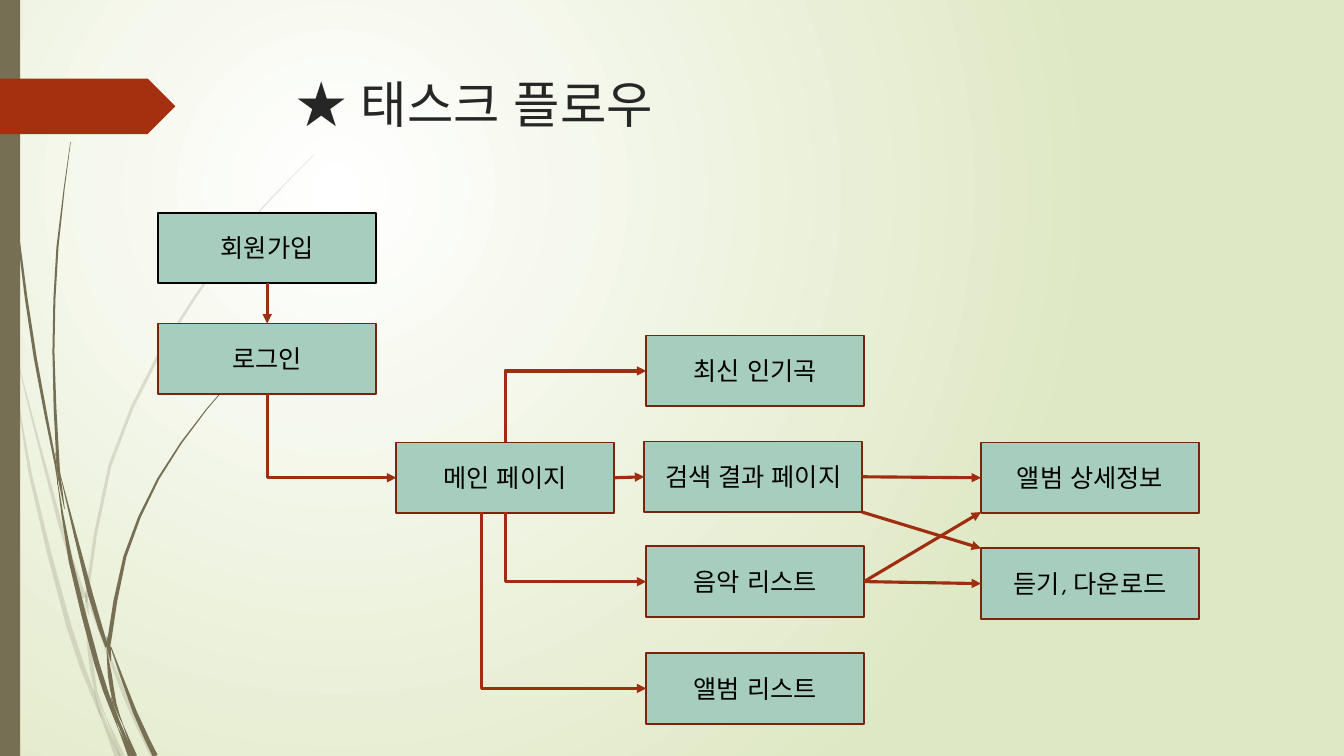
"""Build the task flow slide."""
from math import hypot

from lxml.etree import SubElement as Sub
from pptx import Presentation
from pptx.dml.color import RGBColor
from pptx.enum.shapes import MSO_CONNECTOR as Link, MSO_SHAPE as Shape
from pptx.enum.text import MSO_ANCHOR as Anchor, MSO_AUTO_SIZE as Auto, PP_ALIGN as Align
from pptx.oxml.ns import qn
from pptx.util import Inches, Pt

FONT = "TeX Gyre Adventor"
OLIVE, RUST, WIRE = "766F54", "A53010", "9E2E0F"
WIDE, HIGH = 2.16, 0.7
TOP, LEFT, BOTTOM, RIGHT = range(4)

BOXES = {
    "join": ("회원가입", 1.57, 2.11),
    "login": ("로그인", 1.57, 3.21),
    "main": ("메인 페이지", 3.93, 4.39),
    "hits": ("최신 인기곡", 6.41, 3.33),
    "found": ("검색 결과 페이지", 6.39, 4.38),
    "songs": ("음악 리스트", 6.41, 5.42),
    "info": ("앨범 상세정보", 9.73, 4.39),
    "play": ("듣기, 다운로드", 9.73, 5.44),
    "albums": ("앨범 리스트", 6.41, 6.48),
}
GLUED = [
    ("join", BOTTOM, "login", TOP),
    ("main", RIGHT, "found", LEFT),
    ("found", RIGHT, "info", LEFT),
    ("songs", RIGHT, "play", LEFT),
]
BENT = [
    ((2.65, 3.91), (3.93, 4.74)),
    ((5.01, 4.39), (6.41, 3.68)),
    ((5.01, 5.08), (6.41, 5.77)),
    ((4.78, 5.08), (6.41, 6.83)),
]
CROSSED = [((8.57, 5.77), (9.73, 5.08)), ((8.55, 5.08), (9.73, 5.44))]

PALE_STEMS = [
    [(0, 2.9, .03), (.1, 3.47, .01)],
    [(.14, 3.45, 0), (.6, 5.21, .04), (.84, 5.93, .04)],
    [(.88, 5.98, .01), (1.25, 6.93, .04), (1.52, 7.5, .05)],
    [(1.05, 7.11, 0), (1.21, 7.5, .05)],
    [(.11, 3.5, 0), (.3, 4.7, .03), (.68, 6.2, .05), (.92, 6.88, .04), (1.01, 7.14, 0)],
    [(.84, 5.99, 0), (.89, 6.46, .04), (.95, 6.85, .03), (1.05, 7.11, 0)],
    [(3.12, 1.53, 0), (2.68, 1.98, .01), (2.29, 2.45, .02), (1.59, 3.49, .03),
     (1.09, 4.62, .03), (.87, 5.84, .03), (.87, 5.96, .01)],
    [(1.01, 7.14, 0), (1.16, 7.5, .05)],
    [(.85, 5.86, 0), (.86, 5.98, .03), (.88, 6.1, 0)],
    [(.93, 6.83, 0), (1, 7.07, .03), (1.19, 7.5, .01)],
]
DARK_STEMS = [
    [(.03, 0, .01), (.08, 1.1, .01), (.18, 2.33, .02), (.35, 3.55, .03),
     (.55, 4.6, .02), (.57, 4.81, 0)],
    [(.6, 4.72, 0), (.9, 5.91, .05), (1.06, 6.42, .03)],
    [(1.1, 6.42, .01), (1.34, 7.07, .04), (1.54, 7.5, .05)],
    [(.57, 4.77, 0), (.7, 5.56, .04), (.96, 6.58, .05), (1.1, 7, .04), (1.17, 7.22, 0)],
    [(.7, 1.41, 0), (.57, 2.45, .02), (.53, 3.49, .02), (.57, 4.5, .03), (.6, 4.72, 0)],
    [(1.22, 7.19, 0), (1.34, 7.5, .04)],
    [(.55, 4.49, 0), (.59, 4.75, .03), (.64, 5.05, 0)],
    [(2.6, 3.44, 0), (2.05, 4.06, .01), (1.57, 4.75, .02), (1.24, 5.52, .03),
     (1.09, 6.32, .04), (1.09, 6.41, .01)],
    [(1.17, 7.22, 0), (1.29, 7.5, .04)],
    [(1.06, 6.45, 0), (1.09, 6.7, .04), (1.14, 6.98, .03), (1.22, 7.19, 0)],
    [(1.06, 6.31, 0), (1.08, 6.43, .04), (1.1, 6.56, 0)],
    [(1.1, 6.91, 0), (1.17, 7.15, .03), (1.32, 7.5, .03)],
]


def tint(text):
    return RGBColor.from_string(text)


def paint(shape, fill, line=None):
    shape.shadow.inherit = False
    shape.fill.solid()
    shape.fill.fore_color.rgb = tint(fill)
    if line:
        shape.line.color.rgb = tint(line)
        shape.line.width = Pt(1.25)
    else:
        shape.line.fill.background()


def write(frame, text, size, color, align):
    par = frame.paragraphs[0]
    par.alignment = align
    run = par.add_run()
    run.text = text
    run.font.name, run.font.size = FONT, Pt(size)
    run.font.color.rgb = tint(color)
    Sub(run._r.rPr, qn("a:ea"), typeface=FONT)


def glow(slide):
    fill = slide.background.fill
    fill.gradient()
    for stop, color in zip(fill.gradient_stops, ("FFFFFF", "DFE8C4")):
        stop.color.rgb = tint(color)
    grad = slide.background._cSld.find(".//" + qn("a:gradFill"))
    old = grad.find(qn("a:lin"))
    ring = Sub(grad, qn("a:path"), path="circle")
    Sub(ring, qn("a:fillToRect"), l="50000", t="50000", r="100000", b="100000")
    grad.replace(old, ring)


def curve(knots, steps=2):
    ends = [knots[0], *knots, knots[-1]]
    dots = []
    for a, b, c, d in zip(ends, ends[1:], ends[2:], ends[3:]):
        for i in range(steps):
            t = i / steps
            dots.append([
                (2 * q + (r - p) * t + (2 * p - 5 * q + 4 * r - s) * t ** 2
                 + (3 * q - p - 3 * r + s) * t ** 3) / 2
                for p, q, r, s in zip(a, b, c, d)
            ])
    return dots + [knots[-1]]


def stem(group, knots, alpha):
    dots = curve(knots)
    near, far = [], []
    for i, (x, y, wide) in enumerate(dots):
        prev, post = dots[max(i - 1, 0)], dots[min(i + 1, len(dots) - 1)]
        dx, dy = post[0] - prev[0], post[1] - prev[1]
        half = max(wide, 0.005) / 2 / hypot(dx, dy)
        near.append((Inches(x - dy * half), Inches(y + dx * half)))
        far.append((Inches(x + dy * half), Inches(y - dx * half)))
    edge = near + far[::-1]
    pen = group.shapes.build_freeform(*edge[0])
    pen.add_line_segments(edge[1:], close=True)
    shape = pen.convert_to_shape()
    paint(shape, OLIVE)
    if alpha < 100:
        color = shape._element.spPr.find(qn("a:solidFill"))[0]
        Sub(color, qn("a:alpha"), val=str(alpha * 1000))


def block(slide, kind, x, y, wide, high, fill, line=None):
    shape = slide.shapes.add_shape(kind, Inches(x), Inches(y), Inches(wide), Inches(high))
    paint(shape, fill, line)
    return shape


def box(slide, text, x, y, line):
    shape = block(slide, Shape.RECTANGLE, x, y, WIDE, HIGH, "A6CDBD", line)
    shape.text_frame.word_wrap = True
    shape.text_frame.vertical_anchor = Anchor.MIDDLE
    write(shape.text_frame, text, 18, "000000", Align.CENTER)
    return shape


def arrow(slide, start=(0, 0), end=(0, 0), kind=Link.STRAIGHT):
    wire = slide.shapes.add_connector(kind, *map(Inches, start + end))
    wire.line.color.rgb = tint(WIRE)
    wire.line.width = Pt(2.25)
    Sub(wire.line._get_or_add_ln(), qn("a:tailEnd"), type="triangle")
    Sub(wire._element.spPr, qn("a:effectLst"))
    return wire


def elbow(slide, start, end):
    (x1, y1), (x2, y2) = start, end
    mid_x, mid_y = (x1 + x2) / 2, (y1 + y2) / 2
    half_w, half_h = abs(y2 - y1) / 2, (x2 - x1) / 2
    down = y2 > y1
    rise = half_h if down else -half_h
    wire = arrow(slide, (mid_x + half_w, mid_y - rise),
                 (mid_x - half_w, mid_y + rise), Link.ELBOW)
    props = wire._element.spPr
    props.find(qn("a:xfrm")).set("rot", str((270 if down else 90) * 60000))
    props.find(qn("a:prstGeom")).set("prst", "bentConnector2")


def head(slide, text):
    title = slide.shapes.title
    title.left, title.top = Inches(2.84), Inches(0.68)
    title.width, title.height = Inches(9.75), Inches(0.8)
    title.text_frame.auto_size = Auto.NONE
    title.text_frame.vertical_anchor = Anchor.TOP
    write(title.text_frame, text, 36, "262626", Align.LEFT)


def main():
    deck = Presentation()
    deck.slide_width, deck.slide_height = Inches(13.33), Inches(7.5)
    slide = deck.slides.add_slide(deck.slide_layouts[5])
    glow(slide)
    for stems, alpha in ((PALE_STEMS, 20), (DARK_STEMS, 100)):
        group = slide.shapes.add_group_shape()
        for knots in stems:
            stem(group, knots, alpha)
    block(slide, Shape.RECTANGLE, 0, 0, 0.2, 7.5, OLIVE)
    block(slide, Shape.PENTAGON, 0, 0.78, 1.74, 0.55, RUST)
    head(slide, "★ 태스크 플로우")
    boxes = {
        key: box(slide, *spot, "000000" if key == "join" else "7A240C")
        for key, spot in BOXES.items()
    }
    for source, out, goal, into in GLUED:
        wire = arrow(slide)
        wire.begin_connect(boxes[source], out)
        wire.end_connect(boxes[goal], into)
    for start, end in BENT:
        elbow(slide, start, end)
    for start, end in CROSSED:
        arrow(slide, start, end)
    deck.save("out.pptx")


if __name__ == "__main__":
    main()
